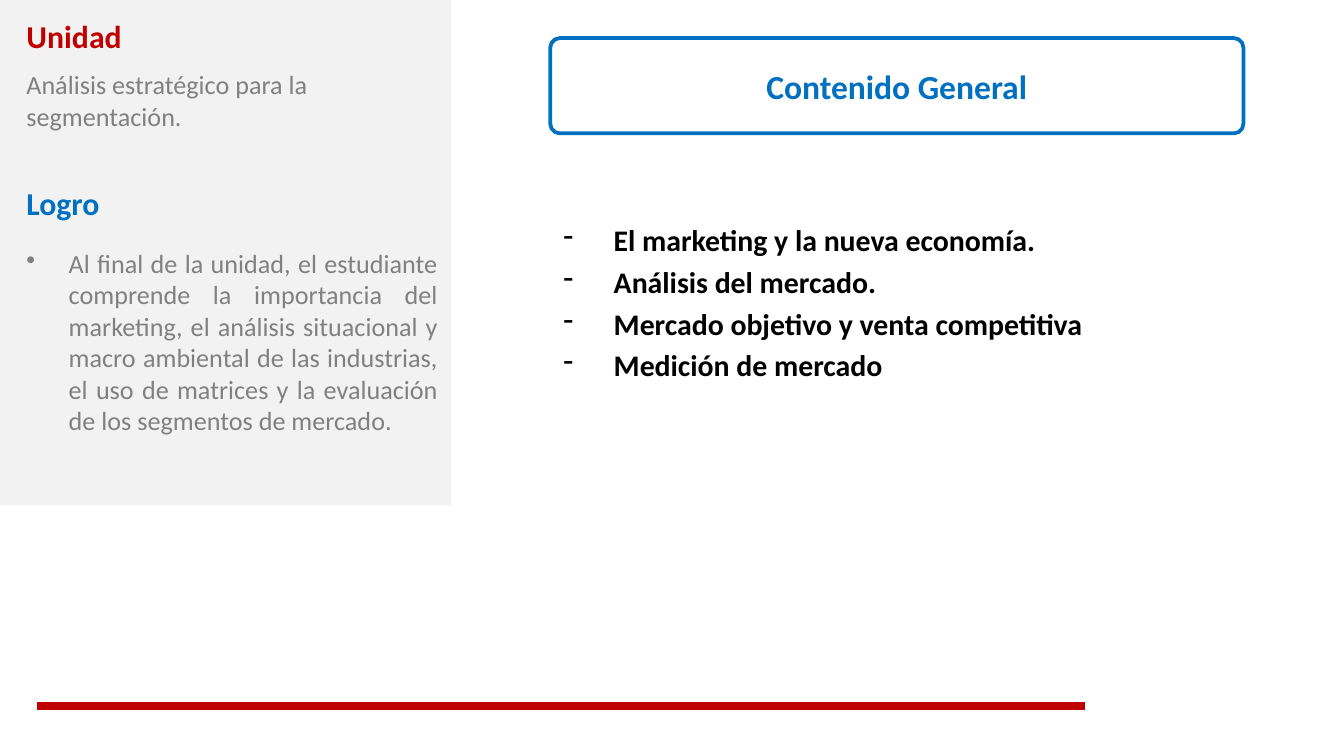
from lxml.etree import SubElement
from pptx import Presentation
from pptx.dml.color import RGBColor
from pptx.enum.shapes import MSO_CONNECTOR, MSO_SHAPE
from pptx.enum.text import MSO_ANCHOR, PP_ALIGN
from pptx.oxml.ns import qn
from pptx.util import Cm, Pt

RED, BLUE, GREY, PANEL, BLACK = "C00000", "0070C0", "808080", "F2F2F2", "000000"
PANEL_WIDTH = 8.53
HEADING_INDENT = 0.25

GOAL = ("Al final de la unidad, el estudiante comprende la importancia del marketing, "
        "el análisis situacional y macro ambiental de las industrias, el uso de matrices "
        "y la evaluación de los segmentos de mercado.")

# Side panel, back to front: top and height in cm, anchor, text, text style
PANEL_PARTS = [
    (4.55, 5.0, MSO_ANCHOR.TOP, GOAL,
     dict(size=14, color=GREY, align=PP_ALIGN.JUSTIFY, margin=1.05, hanging=0.8, bullet="•")),
    (0, 1.17, MSO_ANCHOR.BOTTOM, "Unidad",
     dict(size=17, color=RED, bold=True, margin=HEADING_INDENT)),
    (1.17, 3.58, MSO_ANCHOR.TOP, "Análisis estratégico para la segmentación.",
     dict(size=14, color=GREY, margin=HEADING_INDENT)),
    (3.35, 0.8, MSO_ANCHOR.TOP, "Logro",
     dict(size=17, color=BLUE, bold=True, margin=HEADING_INDENT)),
]
TITLE = "Contenido General"
TOPICS = [
    "El marketing y la nueva economía.",
    "Análisis del mercado.",
    "Mercado objetivo y venta competitiva",
    "Medición de mercado",
]


def rgb(color):
    return RGBColor.from_string(color)


def write(box, lines, size, color, bold=False, align=PP_ALIGN.LEFT,
          margin=0, hanging=0, bullet=None, anchor=MSO_ANCHOR.TOP):
    frame = box.text_frame
    frame.word_wrap = True
    frame.vertical_anchor = anchor
    for index, line in enumerate(lines):
        para = frame.add_paragraph() if index else frame.paragraphs[0]
        para.text = line
        para.alignment = align
        para.space_before = Pt(0.2 * size if index else 0)
        font = para.font
        font.name, font.size, font.bold = "Calibri", Pt(size), bold
        font.color.rgb = rgb(color)
        properties = para._p.get_or_add_pPr()
        properties.set("marL", str(Cm(margin)))
        properties.set("indent", str(-Cm(hanging)))
        if bullet:
            mark = properties.makeelement(qn("a:buChar"), {"char": bullet})
            properties.insert_element_before(mark, "a:tabLst", "a:defRPr", "a:extLst")


def add_box(page, kind, left, top, width, height):
    box = page.shapes.add_shape(kind, Cm(left), Cm(top), Cm(width), Cm(height))
    box.shadow.inherit = False
    return box


def main():
    deck = Presentation()
    deck.slide_width, deck.slide_height = Cm(25.4), Cm(14.28)
    page = deck.slides.add_slide(deck.slide_layouts[6])

    for top, height, anchor, text, style in PANEL_PARTS:
        part = add_box(page, MSO_SHAPE.RECTANGLE, 0, top, PANEL_WIDTH, height)
        part.fill.solid()
        part.fill.fore_color.rgb = rgb(PANEL)
        part.line.fill.background()
        write(part, [text], anchor=anchor, **style)

    title = add_box(page, MSO_SHAPE.ROUNDED_RECTANGLE, 10.4, 0.72, 13.1, 1.8)
    title.adjustments[0] = 0.1
    title.fill.background()
    title.line.color.rgb = rgb(BLUE)
    title.line.width = Pt(2)
    write(title, [TITLE], 18, BLUE, bold=True, align=PP_ALIGN.CENTER,
          anchor=MSO_ANCHOR.MIDDLE)

    topics = page.shapes.add_textbox(Cm(10.4), Cm(4.06), Cm(14.5), Cm(4.67))
    write(topics, TOPICS, 16, BLACK, bold=True, align=PP_ALIGN.JUSTIFY,
          margin=0.95, hanging=0.95, bullet="-")

    rule = page.shapes.add_connector(
        MSO_CONNECTOR.STRAIGHT, Cm(0.7), Cm(13.34), Cm(20.5), Cm(13.34))
    rule.line.color.rgb = rgb(RED)
    rule.line.width = Pt(4.5)
    SubElement(rule._element.spPr, qn("a:effectLst"))

    deck.save("out.pptx")


if __name__ == "__main__":
    main()
